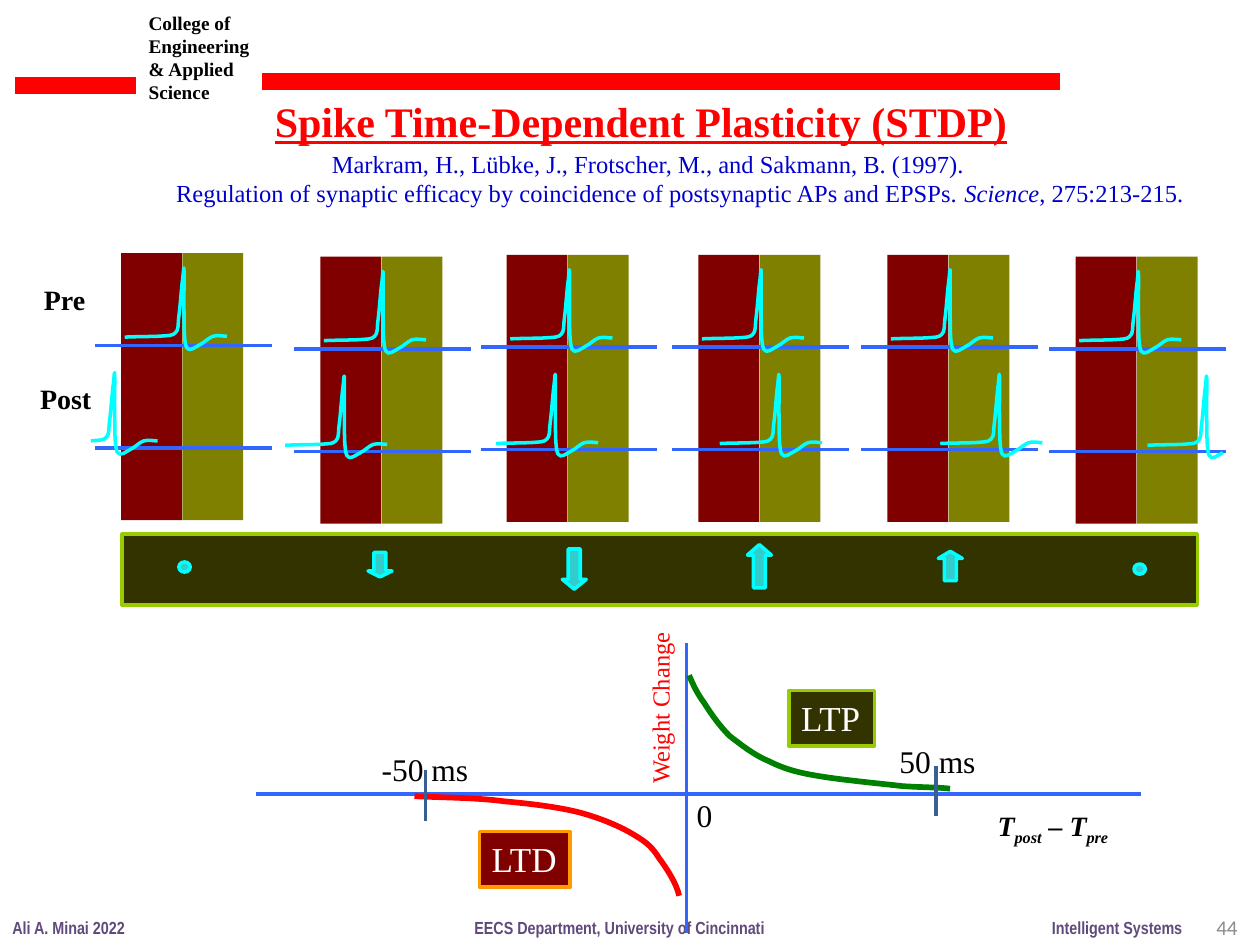
"""Build the slide on spike time-dependent plasticity."""
from lxml import etree
from pptx import Presentation
from pptx.dml.color import RGBColor
from pptx.enum import shapes as kinds, text as layout
from pptx.oxml import ns
from pptx.util import Pt

COLORS = {
    "black": "000000", "white": "FFFFFF", "red": "FF0000", "citation": "0000CC",
    "footer": "604A7B", "number": "8C8C8C", "before": "800000", "after": "808000",
    "baseline": "3366FF", "spike": "00FFFF", "marker": "33CCCC", "dark": "333300",
    "lime": "99CC00", "orange": "FF9900", "green": "008000", "tick": "376092",
}
SERIF = "Times New Roman"
SPIKE = [
    (0, 41.5), (3, 41.2), (15.5, 41.2), (20.3, 40.9), (25, 40.5), (27.3, 40.8),
    (29, 39), (31, 37.2), (30.3, 34.5), (31, 29.3), (31.7, 24.2), (32.5, 12),
    (33.2, 7.6), (33.6, 3.5), (33.8, 0), (33.9, 3.1), (34, 6), (33.8, 19),
    (33.9, 26.3), (34, 33.8), (33.8, 44), (35.3, 47.3), (36.8, 50.5),
    (40.7, 46.8), (43.1, 45.7), (45.5, 44.6), (48, 41.8), (50.4, 41),
    (53, 40.2), (56.9, 41), (58.4, 41),
]
SPIKE_AFTER_START, SPIKE_CUT = SPIKE[3:], SPIKE[:25]
DEPRESSION = [
    (236.9, 455), (254.2, 455.8), (272.2, 455.8), (288, 457.9), (304.6, 459.4),
    (321.8, 461.5), (334.1, 465.1), (346.3, 468.7), (355.7, 473), (362.9, 477.4),
    (370.1, 481.7), (373, 484.6), (376.6, 490.3), (380.9, 496.1), (386.6, 504.7),
    (388.1, 511.9),
]
POTENTIATION = [
    (393.8, 385.9), (396, 391), (398.2, 396), (402.5, 401.8), (406.1, 407.5),
    (411.1, 414.7), (416.9, 420.5), (423.4, 425.5), (430.6, 431.3), (439.2, 434.9),
    (447.8, 439.2), (455, 441.4), (468, 443.5), (481, 445.7), (503.3, 447.8),
    (516.2, 449.3), (528.5, 450), (537.8, 450), (542.9, 450.7),
]
PANELS = [
    (69.3, 144.6, 31.7, SPIKE_AFTER_START), (183.1, 146.6, 162.9, SPIKE),
    (289.6, 145.6, 283.5, SPIKE), (399.1, 145.6, 411.3, SPIKE),
    (507.1, 145.6, 537.3, SPIKE), (614.7, 146.6, 655.7, SPIKE_CUT),
]


def color(name):
    return RGBColor.from_string(COLORS[name])


def style_run(run, size, tone, font=SERIF, bold=False, italic=False):
    run.font.size, run.font.name = Pt(size), font
    run.font.bold, run.font.italic = bold, italic
    run.font.color.rgb = color(tone)


def style_frame(frame, wrap=False, anchor=layout.MSO_ANCHOR.TOP):
    frame.word_wrap = wrap
    frame.auto_size = layout.MSO_AUTO_SIZE.NONE
    frame.vertical_anchor = anchor


def place(shape, left, top, width, height):
    shape.left, shape.top = Pt(left), Pt(top)
    shape.width, shape.height = Pt(width), Pt(height)


def add_label(shapes, content, box, size, tone, wrap=False, **style):
    label = shapes.add_textbox(*map(Pt, box))
    label.text_frame.text = content
    style_frame(label.text_frame, wrap)
    for paragraph in label.text_frame.paragraphs:
        for run in paragraph.runs:
            style_run(run, size, tone, **style)
    return label


def add_block(shapes, kind, box, fill, border=None):
    block = shapes.add_shape(kind, *map(Pt, box))
    block.shadow.inherit = False
    block.fill.solid()
    block.fill.fore_color.rgb = color(fill)
    if border:
        block.line.color.rgb, block.line.width = color(border), Pt(2)
    else:
        block.line.fill.background()
    return block


def add_line(shapes, start, end, tone, width=2):
    line = shapes.add_connector(kinds.MSO_CONNECTOR.STRAIGHT, *map(Pt, start + end))
    line.line.color.rgb, line.line.width = color(tone), Pt(width)
    etree.SubElement(line._element.spPr, ns.qn("a:effectLst"))


def round_segments(curve):
    outline = next(curve._element.iter(ns.qn("a:path")))
    segments = outline.findall(ns.qn("a:lnTo"))
    for index in range(0, len(segments), 3):
        bezier = etree.SubElement(outline, ns.qn("a:cubicBezTo"))
        for segment in segments[index:index + 3]:
            bezier.append(segment[0])
            outline.remove(segment)


def add_curve(shapes, nodes, tone, width=2, left=0, top=0):
    points = [(Pt(left + x), Pt(top + y)) for x, y in nodes]
    builder = shapes.build_freeform(*points[0])
    builder.add_line_segments(points[1:], close=False)
    curve = builder.convert_to_shape()
    round_segments(curve)
    curve.shadow.inherit = False
    curve.fill.background()
    curve.line.color.rgb, curve.line.width = color(tone), Pt(width)


def add_panel(shapes, left, top, post_left, post_spike):
    for offset, fill in ((0, "before"), (35, "after")):
        add_block(shapes, kinds.MSO_SHAPE.RECTANGLE, (left + offset, top, 34.7, 152.6), fill)
    for offset in (52.8, 111.3):
        add_line(shapes, (left - 15, top + offset), (left + 86, top + offset), "baseline")
    add_curve(shapes, SPIKE, "spike", left=left + 2, top=top + 6.6)
    add_curve(shapes, post_spike, "spike", left=post_left, top=top + 66.4)


def add_header_and_footer(shapes):
    add_label(shapes, "College of Engineering & Applied\nScience",
              (77.8, 2.9, 78.5, 60.5), 11, "black", wrap=True, bold=True)
    add_line(shapes, (8.6, 49), (77.8, 49), "red", 10)
    add_line(shapes, (149.8, 46.6), (606, 46.6), "red", 10)
    for content, left, width in (("Ali A. Minai 2022", 0, 79),
                                 ("Intelligent Systems", 594, 89),
                                 ("EECS Department, University of Cincinnati", 264, 181)):
        add_label(shapes, content, (left, 520.6, width, 19.4), 10, "footer",
                  font="Arial Narrow", bold=True)
    number = add_label(shapes, "44", (546.5, 515.5, 167.8, 28.8), 12, "number",
                       wrap=True, font="Calibri")
    number.text_frame.vertical_anchor = layout.MSO_ANCHOR.MIDDLE
    number.text_frame.paragraphs[0].alignment = layout.PP_ALIGN.RIGHT


def fill_title(title):
    place(title, 149.8, 51.1, 437, 36)
    title.text_frame.text = "Spike Time-Dependent Plasticity (STDP)"
    style_frame(title.text_frame)
    paragraph = title.text_frame.paragraphs[0]
    paragraph.alignment = layout.PP_ALIGN.LEFT
    style_run(paragraph.runs[0], 24, "red", bold=True)
    paragraph.runs[0].font.underline = True


def fill_citation(body):
    place(body, 53.3, 81.4, 634.3, 41)
    frame = body.text_frame
    frame.text = ("Markram, H., Lübke, J., Frotscher, M., and Sakmann, B. (1997).\n"
                  "Regulation of synaptic efficacy by coincidence of postsynaptic APs and EPSPs. ")
    style_frame(frame, anchor=layout.MSO_ANCHOR.MIDDLE)
    for content in ("Science", ", 275:213-215."):
        frame.paragraphs[1].add_run().text = content
    for paragraph, margin in zip(frame.paragraphs, (0, 36)):
        properties = paragraph._p.get_or_add_pPr()
        properties.set("marL", str(Pt(margin)))
        properties.set("indent", "0")
        etree.SubElement(properties, ns.qn("a:buNone"))
        paragraph.alignment = layout.PP_ALIGN.CENTER
        paragraph.space_before = Pt(0)
        for run in paragraph.runs:
            style_run(run, 14, "citation", italic=run.text == "Science")


def add_outcomes(shapes):
    preset = kinds.MSO_SHAPE
    add_block(shapes, preset.RECTANGLE, (69.8, 305.3, 614.4, 40.5), "dark", "lime")
    for left, top in ((102.2, 321.1), (648, 322.3)):
        add_block(shapes, preset.OVAL, (left, top, 6.5, 5.8), "marker", "spike")
    for kind, left, top, height, head in ((preset.DOWN_ARROW, 210.3, 315.7, 14, 0.25),
                                          (preset.DOWN_ARROW, 321.3, 313.7, 23, 0.41),
                                          (preset.UP_ARROW, 427.1, 311.2, 24.7, 0.44),
                                          (preset.UP_ARROW, 536.2, 315, 16.8, 0.3)):
        arrow = add_block(shapes, kind, (left, top, 13.7, height), "marker", "spike")
        arrow.adjustments[0], arrow.adjustments[1] = 0.5, head


def add_axis_name(shapes):
    label = add_label(shapes, "", (563, 458.6, 85.7, 18.7), 16, "black")
    paragraph = label.text_frame.paragraphs[0]
    for content in ("T", "post", " – T", "pre"):
        run = paragraph.add_run()
        run.text = content
        style_run(run, 16, "black", bold=True, italic=True)
        if content in ("post", "pre"):
            run._r.get_or_add_rPr().set("baseline", "-25000")


def add_learning_window(shapes):
    add_line(shapes, (392.2, 367.2), (392.2, 533), "baseline")
    add_line(shapes, (146.5, 453.6), (652.3, 453.6), "baseline")
    add_axis_name(shapes)
    add_label(shapes, "Weight Change", (326.2, 391.7, 102.2, 24.5), 14, "red").rotation = 270
    for name, box, fill, border in (("LTD", (273.9, 475.2, 52, 31.7), "before", "orange"),
                                    ("LTP", (450.7, 394.6, 49, 31.7), "dark", "lime")):
        block = add_block(shapes, kinds.MSO_SHAPE.RECTANGLE, box, fill, border)
        block.text_frame.text = name
        style_frame(block.text_frame)
        block.text_frame.paragraphs[0].alignment = layout.PP_ALIGN.LEFT
        style_run(block.text_frame.paragraphs[0].runs[0], 20, "white")
    add_curve(shapes, DEPRESSION, "red", 3.25)
    add_curve(shapes, POTENTIATION, "green", 3.25)
    for x, y in ((243.2, 440.2), (535, 437.5)):
        add_line(shapes, (x, y), (x, y + 28.8), "tick")
    for content, left, top, width in (("0", 391, 451.4, 23.8), ("-50 ms", 211, 424.8, 64),
                                      ("50 ms", 506.9, 420.5, 58.3)):
        add_label(shapes, content, (left, top, width, 20.2), 18, "black")


def main():
    presentation = Presentation()
    presentation.slide_width, presentation.slide_height = Pt(720), Pt(540)
    slide = presentation.slides.add_slide(presentation.slide_layouts[1])
    shapes = slide.shapes
    add_header_and_footer(shapes)
    fill_title(shapes.title)
    fill_citation(slide.placeholders[1])
    for panel in PANELS:
        add_panel(shapes, *panel)
    add_outcomes(shapes)
    for content, left, top, width in (("Pre", 18, 157.7, 38.2), ("Post", 15.8, 214.6, 43.9)):
        add_label(shapes, content, (left, top, width, 26.6), 16, "black", bold=True)
    add_learning_window(shapes)
    presentation.save("out.pptx")


if __name__ == "__main__":
    main()
